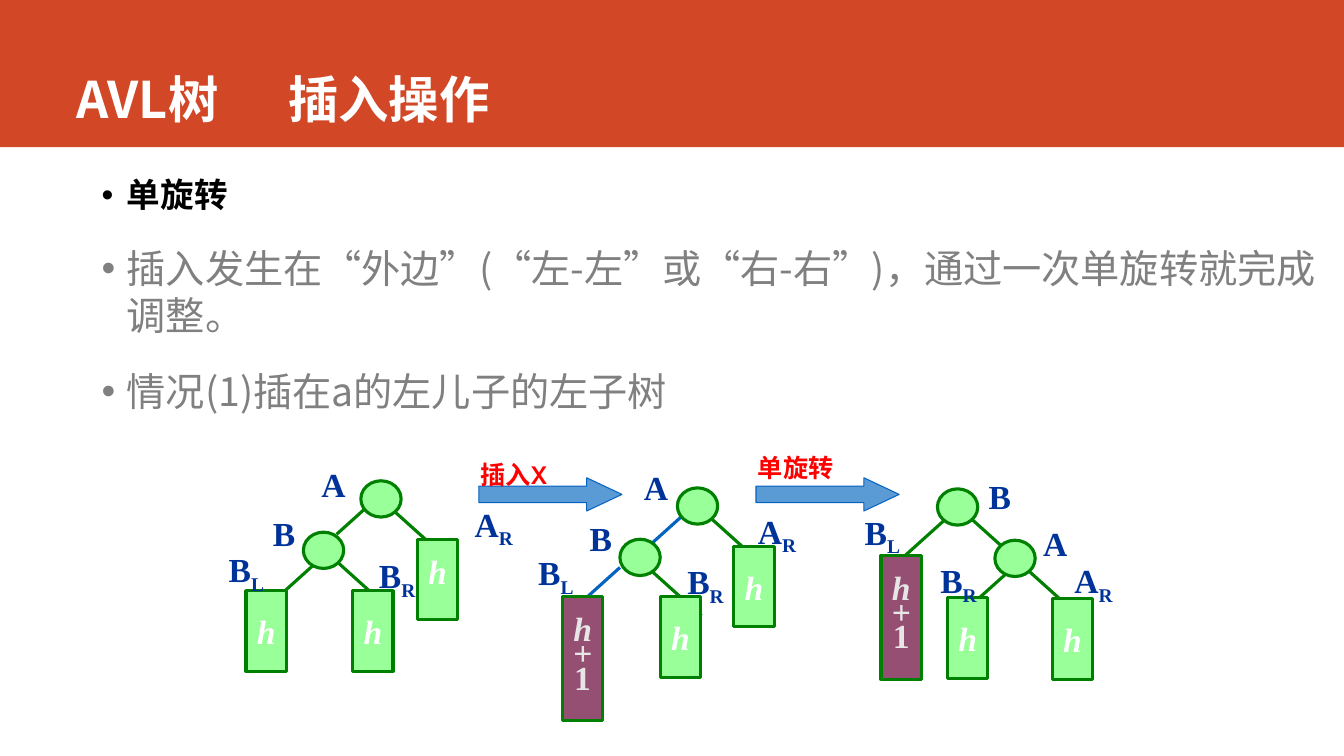
from lxml import etree
from pptx import Presentation, util as u
from pptx.dml.color import RGBColor
from pptx.enum import shapes, text
from pptx.oxml.ns import qn

CELL = u.Inches(0.1)
WIDE, HIGH = 133.33, 75
SANS, SERIF, CABIN = "Noto Sans CJK SC", "Times New Roman", "Cabin"
RUST = RGBColor(0xD2, 0x47, 0x26)
WHITE = RGBColor(0xFF, 0xFF, 0xFF)
BLACK = RGBColor(0, 0, 0)
GREY = RGBColor(0x80, 0x80, 0x80)
GREEN = RGBColor(0, 0x80, 0)
MINT = RGBColor(0x99, 0xFF, 0x99)
PLUM = RGBColor(0x95, 0x4F, 0x72)
PALE = RGBColor(0xE7, 0xE6, 0xE6)
NAVY = RGBColor(0, 0x33, 0x99)
BLUE = RGBColor(0x05, 0x63, 0xC1)
SKY = RGBColor(0x5B, 0x9B, 0xD5)
RED = RGBColor(0xFF, 0, 0)

KIND = shapes.MSO_SHAPE
STEP = 5.7, 5.1
LABELS = {"A": 4.4, "B": 4.2, "AR": 6, "BR": 5.8, "BL": 5.7}
SHORT, TALL = 8, 12.3

BODY = [
    ("单旋转", 24, BLACK, True),
    ("插入发生在“外边”(“左-左”或“右-右”)，通过一次单旋转就完成调整。", 28, GREY, False),
    ("情况(1)插在a的左儿子的左子树", 28, GREY, False),
]

TREES = [
    dict(
        root=(37.8, 49.5), side=-1,
        edges=[(37.4, 49.4, -4, GREEN), (33.4, 55.7, 4.8, GREEN),
               (38.2, 49.9, 4.9, GREEN), (31.5, 55.7, -4, GREEN)],
        leaves=[(41.4, 53.5, SHORT, 0.8), (24.4, 58.6, SHORT), (35, 58.6, SHORT)],
        labels=[("A", 30.9, 45.5), ("AR", 46.1, 49.5), ("BR", 36.6, 54.6),
                ("B", 26.1, 50.4), ("BL", 21.7, 54)],
    ),
    dict(
        root=(69.2, 50.2), side=-1,
        edges=[(64.7, 56.7, 4.9, GREEN), (70.4, 51.3, 4.9, GREEN),
               (61.5, 56.3, -4, BLUE), (68, 50.9, -4.1, BLUE)],
        leaves=[(72.8, 54.2, SHORT), (55.8, 59.2, TALL), (65.5, 59.2, SHORT)],
        labels=[("BL", 52.4, 54.3), ("B", 57.5, 50.9), ("A", 62.9, 45.8),
                ("AR", 74.2, 50.2), ("BR", 67.2, 55.2)],
    ),
    dict(
        root=(95, 50.3), side=1,
        edges=[(100.5, 56.3, -4.1, GREEN), (95.5, 50.7, 4.8, GREEN),
               (94.7, 50.7, -4.9, GREEN), (101.9, 56.5, 4.9, GREEN)],
        leaves=[(94, 59.3, SHORT), (104.4, 59.4, SHORT), (87.4, 55.1, TALL)],
        labels=[("AR", 105.6, 55.1), ("BR", 92.3, 55.1), ("A", 102.5, 51.4),
                ("B", 97.1, 46.7), ("BL", 84.8, 50.3)],
    ),
]


def cells(*nums):
    return [int(n * CELL) for n in nums]


def put(para, words, size, face, ink, bold=True, slant=False):
    run = para.add_run()
    run.text = words
    font = run.font
    font.size, font.name = u.Pt(size), face
    font.bold, font.italic = bold, slant
    font.color.rgb = ink
    east = etree.SubElement(run._r.get_or_add_rPr(), qn("a:ea"))
    east.set("typeface", SERIF if face == SERIF else SANS)
    return run


def box(slide, x, y, w, h, wrap=True):
    frame = slide.shapes.add_textbox(*cells(x, y, w, h)).text_frame
    frame.word_wrap = wrap
    return frame


def form(slide, kind, x, y, w, h, fill, edge=None, width=2.25):
    item = slide.shapes.add_shape(kind, *cells(x, y, w, h))
    item.shadow.inherit = False
    item.fill.solid()
    item.fill.fore_color.rgb = fill
    if edge is None:
        item.line.fill.background()
    else:
        item.line.color.rgb = edge
        item.line.width = u.Pt(width)
    return item


def link(slide, x, y, run, ink):
    ends = cells(x, y, x + run, y + 0.9 * abs(run))
    line = slide.shapes.add_connector(shapes.MSO_CONNECTOR.STRAIGHT, *ends)
    line.line.color.rgb = ink
    line.line.width = u.Pt(2.25)
    etree.SubElement(line._element.spPr, qn("a:effectLst"))


def leaf(slide, x, y, h, lift=0):
    tall = h == TALL
    item = form(slide, KIND.RECTANGLE, x, y, 4, h, PLUM if tall else MINT, GREEN)
    frame = item.text_frame
    frame.word_wrap = False
    frame.vertical_anchor = text.MSO_ANCHOR.MIDDLE
    frame.margin_bottom = cells(0.5 + 2 * lift)[0]
    for num, sign in enumerate("h+1" if tall else "h"):
        para = frame.add_paragraph() if num else frame.paragraphs[0]
        para.alignment = text.PP_ALIGN.CENTER
        if tall:
            para.line_spacing = 0.6
        put(para, sign, 24, SERIF, PALE if tall else WHITE, slant=sign != "1")


def label(slide, name, x, y):
    para = box(slide, x, y, LABELS[name], 5, False).paragraphs[0]
    put(para, name[0], 24, SERIF, NAVY)
    if name[1:]:
        sub = put(para, name[1:], 24, SERIF, NAVY)
        sub._r.get_or_add_rPr().set("baseline", "-25000")


def tree(slide, root, side, edges, leaves, labels):
    for edge in edges:
        link(slide, *edge)
    x, y = root
    for cx, cy in (root, (x + side * STEP[0], y + STEP[1])):
        form(slide, KIND.OVAL, cx - 2, cy - 1.8, 4, 3.6, MINT, GREEN)
    for item in leaves:
        leaf(slide, *item)
    for item in labels:
        label(slide, *item)


def arrow(slide, x, top, words):
    item = form(slide, KIND.RIGHT_ARROW, x, 47.4, 14.2, 3.3, SKY, BLUE, 0.75)
    item.adjustments[0] = 0.5
    item.adjustments[1] = 1.06
    para = box(slide, x - 0.8, top, 14.2, 4).paragraphs[0]
    put(para, words, 18, CABIN, RED)


def title(slide):
    form(slide, KIND.RECTANGLE, 0, 0, WIDE, 14.6, RUST)
    frame = box(slide, 6.6, 0, 117.6, 13.2)
    frame.vertical_anchor = text.MSO_ANCHOR.BOTTOM
    para = frame.paragraphs[0]
    tabs = etree.SubElement(para._p.get_or_add_pPr(), qn("a:tabLst"))
    etree.SubElement(tabs, qn("a:tab"), pos=str(u.Inches(2.1)), algn="l")
    put(para, "AVL树\t插入操作", 36, SANS, WHITE)


def body(slide):
    frame = box(slide, 9.1, 16.8, 124.2, 47.6)
    for num, (words, size, ink, bold) in enumerate(BODY):
        para = frame.add_paragraph() if num else frame.paragraphs[0]
        props = para._p.get_or_add_pPr()
        props.set("marL", str(u.Inches(0.25)))
        props.set("indent", str(-u.Inches(0.25)))
        etree.SubElement(props, qn("a:buFont"), typeface="Arial")
        etree.SubElement(props, qn("a:buChar"), char="•")
        para.line_spacing = 1.0
        para.space_before = u.Pt(9 if num else 0)
        para.space_after = u.Pt(12)
        put(para, words, size, SANS, ink, bold)


def main():
    deck = Presentation()
    deck.slide_width, deck.slide_height = cells(WIDE, HIGH)
    slide = deck.slides.add_slide(deck.slide_layouts[6])
    title(slide)
    body(slide)
    for item in TREES:
        tree(slide, **item)
    arrow(slide, 47.5, 45.1, "插入X")
    arrow(slide, 75, 44.4, "单旋转")
    deck.save("out.pptx")


if __name__ == "__main__":
    main()
